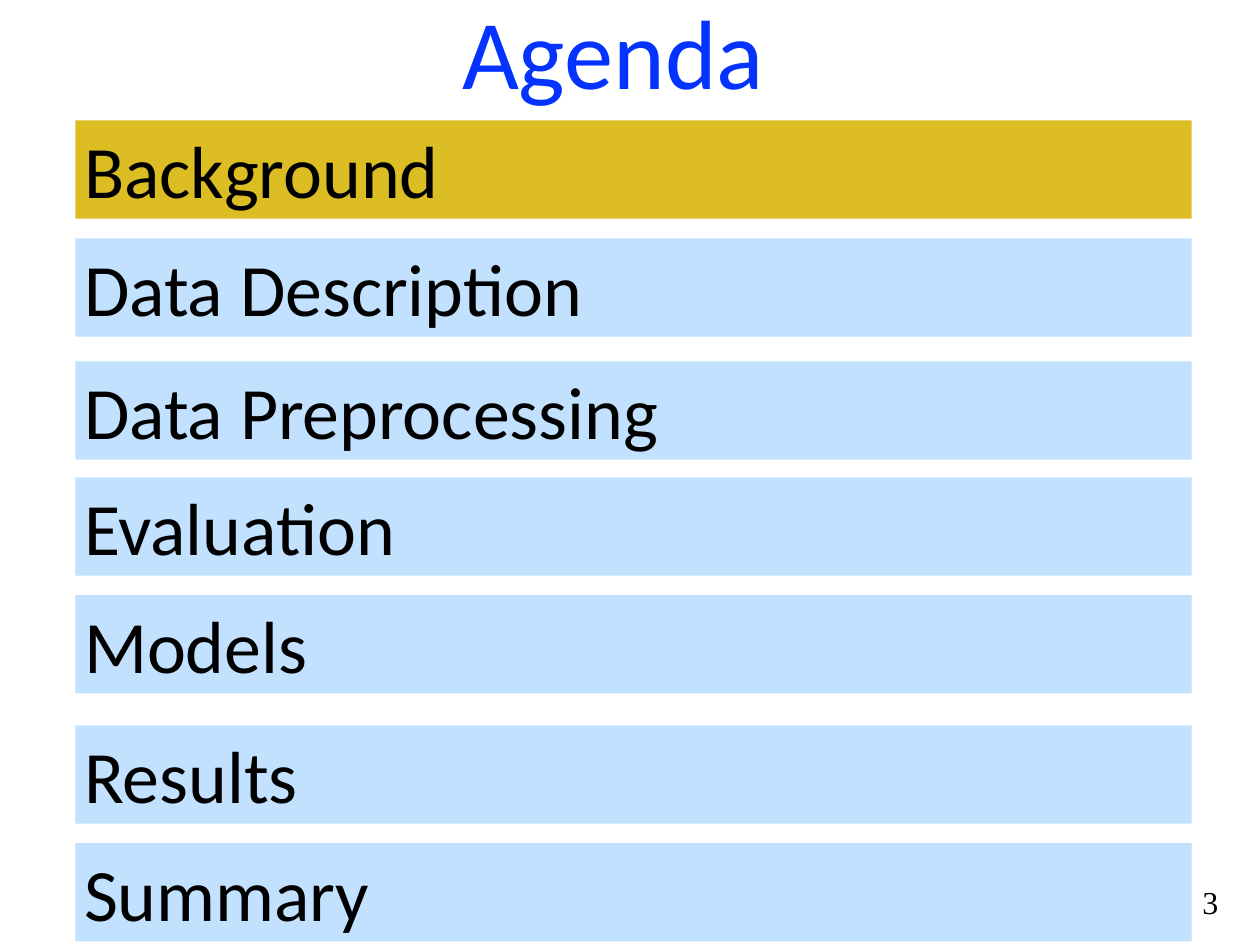
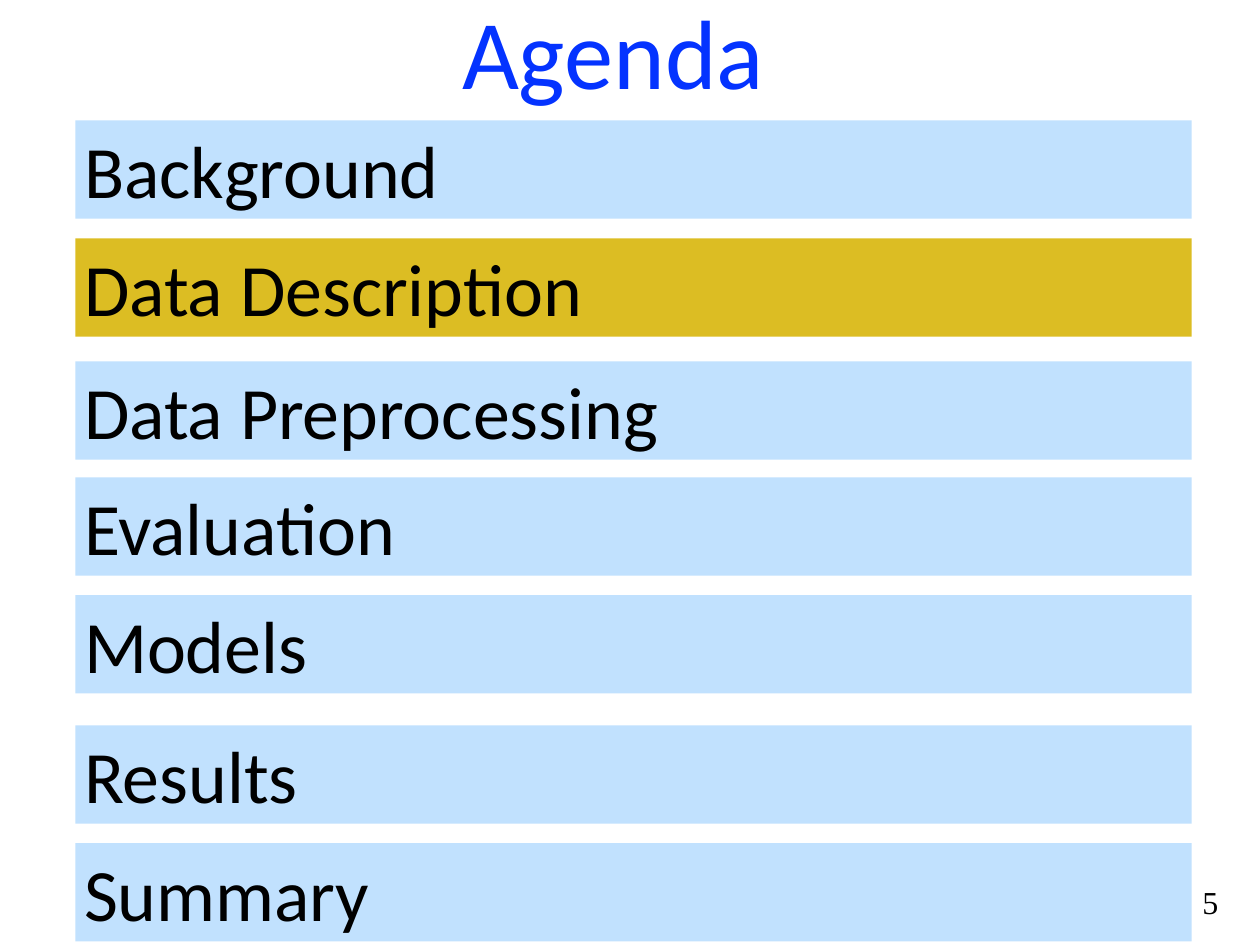
import pptx
from pptx.dml.color import RGBColor
from pptx.enum.shapes import MSO_SHAPE
from pptx.enum.text import MSO_ANCHOR, MSO_AUTO_SIZE, PP_ALIGN
from pptx.util import Inches, Pt

TITLE = "Agenda"
# Topic and the top of its bar in inches
TOPICS = [
    ("Background", 1.36),
    ("Data Description", 2.69),
    ("Data Preprocessing", 4.08),
    ("Evaluation", 5.39),
    ("Models", 6.72),
    ("Results", 8.19),
    ("Summary", 9.52),
]
# Current topic and page number of each slide
AGENDAS = [("Background", 3), ("Data Description", 5)]

COLOURS = {
    "title": "0433FF",
    "text": "000000",
    "current": "DCBD23",
    "other": "C1E1FE",
}
LEFT = 0.85
BAR_WIDTH, BAR_HEIGHT = 12.6, 1.11
TITLE_BOX = (LEFT, -0.61, 12.14, 2.36)
PAGE_BOX = (LEFT + BAR_WIDTH, 9.97, 0.42, 0.43)
TITLE_ONLY = 5


def colour(name):
    return RGBColor.from_string(COLOURS[name])


def write(shape, text, size, align, ink="text", font="Calibri", anchor=MSO_ANCHOR.TOP,
          fit=MSO_AUTO_SIZE.SHAPE_TO_FIT_TEXT, wrap=True, margin=None):
    frame = shape.text_frame
    frame.text = text
    frame.word_wrap = wrap
    frame.auto_size = fit
    frame.vertical_anchor = anchor
    if margin is not None:
        frame.margin_left = frame.margin_right = margin
        frame.margin_top = frame.margin_bottom = margin
    paragraph = frame.paragraphs[0]
    paragraph.alignment = align
    paragraph.font.name = font
    paragraph.font.size = Pt(size)
    paragraph.font.color.rgb = colour(ink)


def add_title(slide):
    title = slide.shapes.title
    title.left, title.top, title.width, title.height = map(Inches, TITLE_BOX)
    write(title, TITLE, 80, PP_ALIGN.CENTER, ink="title", anchor=MSO_ANCHOR.MIDDLE,
          fit=MSO_AUTO_SIZE.NONE, margin=0)


def add_topic(slide, topic, top, is_current):
    bar = slide.shapes.add_shape(
        MSO_SHAPE.RECTANGLE, *map(Inches, (LEFT, top, BAR_WIDTH, BAR_HEIGHT)))
    bar.shadow.inherit = False
    bar.fill.solid()
    bar.fill.fore_color.rgb = colour("current" if is_current else "other")
    bar.line.fill.background()
    write(bar, topic, 60, PP_ALIGN.LEFT)


def add_page_number(slide, number):
    page = slide.shapes.add_textbox(*map(Inches, PAGE_BOX))
    write(page, str(number), 26, PP_ALIGN.CENTER, font="Times New Roman",
          wrap=False, margin=0)


def main():
    deck = pptx.Presentation()
    deck.slide_width, deck.slide_height = Inches(14.22), Inches(10.67)
    for current, number in AGENDAS:
        slide = deck.slides.add_slide(deck.slide_layouts[TITLE_ONLY])
        add_title(slide)
        for topic, top in TOPICS:
            add_topic(slide, topic, top, topic == current)
        add_page_number(slide, number)
    deck.save("out.pptx")


if __name__ == "__main__":
    main()
